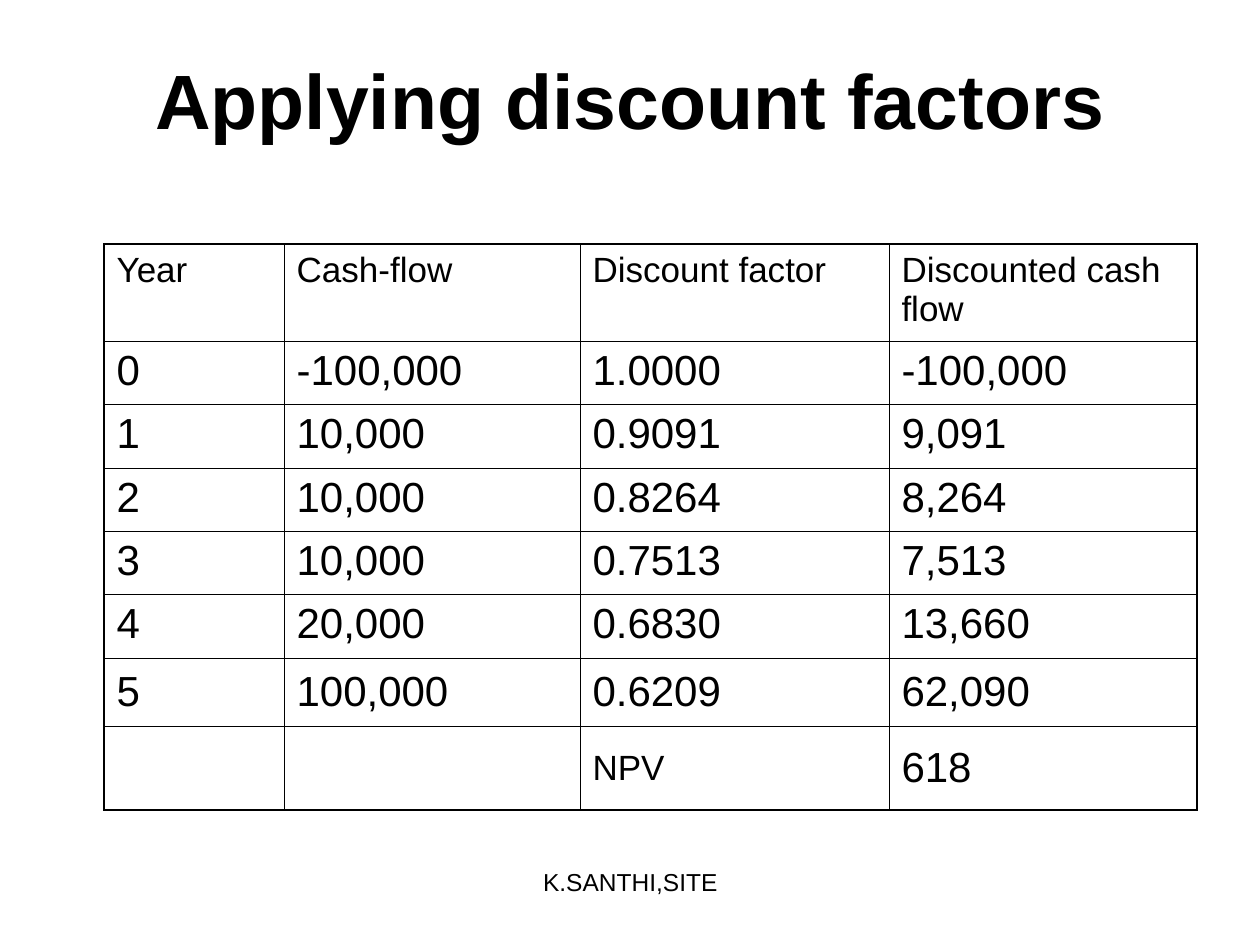
from pptx import Presentation
from pptx.dml.color import RGBColor
from pptx.enum.text import MSO_ANCHOR, PP_ALIGN
from pptx.oxml.ns import qn
from pptx.util import Emu, Pt
from lxml.etree import SubElement

COLORS = {"text": "000000", "border": "000000"}
FONT = "Arial"
THIN, THICK = Pt(0.45), Pt(1.08)

COLUMN_WIDTHS = [180, 296, 309, 308]
ROW_HEIGHTS = [97, 63, 64, 63, 63, 64, 68, 84]
ROWS = [
    ["Year", "Cash-flow", "Discount factor", "Discounted cash flow"],
    ["0", "-100,000", "1.0000", "-100,000"],
    ["1", "10,000", "0.9091", "9,091"],
    ["2", "10,000", "0.8264", "8,264"],
    ["3", "10,000", "0.7513", "7,513"],
    ["4", "20,000", "0.6830", "13,660"],
    ["5", "100,000", "0.6209", "62,090"],
    ["", "", "NPV", "618"],
]


def px(n):
    return Emu(round(n * 914400 / 126))


def format_paragraph(p, size, bold=False, align=PP_ALIGN.LEFT):
    p.alignment = align
    p.font.name = FONT
    p.font.size = Pt(size)
    p.font.bold = bold
    p.font.color.rgb = RGBColor.from_string(COLORS["text"])


def set_borders(cell, widths):
    tcPr = cell._tc.get_or_add_tcPr()
    for side, width in widths.items():
        ln = SubElement(tcPr, qn(f"a:ln{side}"), w=str(width))
        fill = SubElement(ln, qn("a:solidFill"))
        SubElement(fill, qn("a:srgbClr"), val=COLORS["border"])


def add_title(s, x, y, w, h):
    title = s.shapes.title
    title.left, title.top, title.width, title.height = px(x), px(y), px(w), px(h)
    tf = title.text_frame
    tf.text = "Applying discount factors"
    tf.vertical_anchor = MSO_ANCHOR.MIDDLE
    format_paragraph(tf.paragraphs[0], 44, bold=True, align=PP_ALIGN.CENTER)


def add_discount_table(s, x, y):
    last_row, last_col = len(ROWS) - 1, len(COLUMN_WIDTHS) - 1
    table = s.shapes.add_table(
        len(ROWS), len(COLUMN_WIDTHS), px(x), px(y),
        px(sum(COLUMN_WIDTHS)), px(sum(ROW_HEIGHTS))).table
    table.first_row = table.horz_banding = False
    for column, width in zip(table.columns, COLUMN_WIDTHS):
        column.width = px(width)
    for row, height in zip(table.rows, ROW_HEIGHTS):
        row.height = px(height)

    for i, values in enumerate(ROWS):
        for j, value in enumerate(values):
            cell = table.cell(i, j)
            cell.text = value
            # Labels are smaller than figures; the last two rows are centred
            size = 20 if i == 0 or value == "NPV" else 24
            format_paragraph(cell.text_frame.paragraphs[0], size)
            centred = i >= last_row - 1
            cell.vertical_anchor = MSO_ANCHOR.MIDDLE if centred else MSO_ANCHOR.TOP
            # Thick outer frame, thin inner grid
            set_borders(cell, {
                "L": THICK if j == 0 else THIN,
                "R": THICK if j == last_col else THIN,
                "T": THICK if i == 0 else THIN,
                "B": THICK if i == last_row else THIN,
            })
            cell.fill.background()


def add_footer(s, x, y, w, h):
    tf = s.shapes.add_textbox(px(x), px(y), px(w), px(h)).text_frame
    tf.word_wrap = True
    tf.text = "K.SANTHI,SITE"
    format_paragraph(tf.paragraphs[0], 14, align=PP_ALIGN.CENTER)


def main():
    prs = Presentation()
    prs.slide_width, prs.slide_height = px(1260), px(945)
    s = prs.slides.add_slide(prs.slide_layouts[5])
    add_title(s, 95, 35, 1071, 127)
    add_discount_table(s, 104, 244)
    add_footer(s, 431, 861, 399, 65)
    prs.save("out.pptx")


if __name__ == "__main__":
    main()
